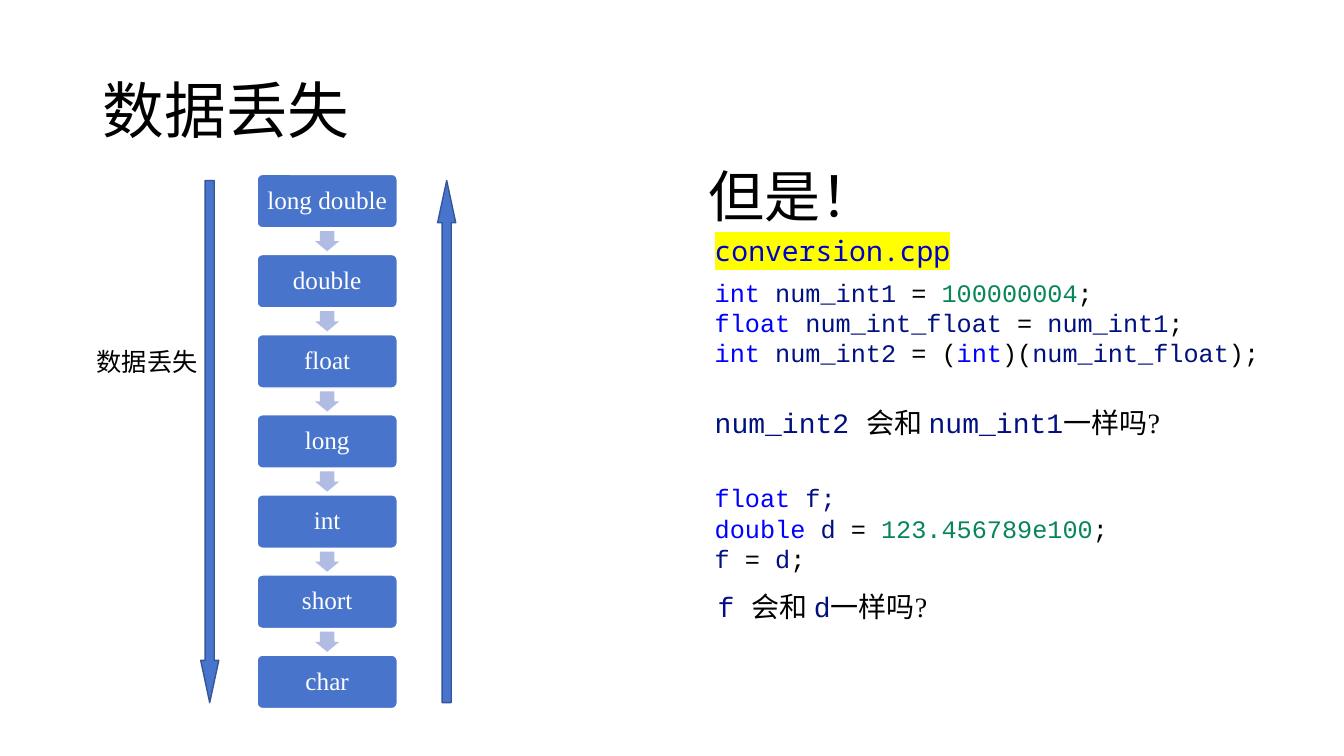
import pptx
import pptx.util
import pptx.dml.color
import pptx.enum.shapes
import pptx.enum.text
import lxml.etree

Inches, Pt = pptx.util.Inches, pptx.util.Pt
SHAPE = pptx.enum.shapes.MSO_SHAPE
ALIGN = pptx.enum.text.PP_ALIGN
ANCHOR = pptx.enum.text.MSO_ANCHOR

SERIF, CODE, MONO = "Times New Roman", "Courier New", "Noto Sans Mono"
BLACK, WHITE, YELLOW = "000000", "FFFFFF", "FFFF00"
BLUE, PALE_BLUE, DARK_BLUE = "4874CB", "B1BCE2", "355696"
KEYWORD, NAME, NUMBER, FILE_BLUE = "0000FF", "001080", "098658", "0000CC"

TITLE = "数据丢失"
TYPES = ["long double", "double", "float", "long", "int", "short", "char"]
FILE_NAME = "conversion.cpp"

INT_CODE = [
    [("int ", KEYWORD), ("num_int1", NAME), (" = ", BLACK), ("100000004", NUMBER), (";", BLACK)],
    [("float ", KEYWORD), ("num_int_float", NAME), (" = ", BLACK), ("num_int1", NAME), (";", BLACK)],
    [("int ", KEYWORD), ("num_int2", NAME), (" = (", BLACK), ("int", KEYWORD), (")(", BLACK),
     ("num_int_float", NAME), (");", BLACK)],
]
FLOAT_CODE = [
    [("float ", KEYWORD), ("f;", NAME)],
    [("double ", KEYWORD), ("d", NAME), (" = ", BLACK), ("123.456789e100", NUMBER), (";", BLACK)],
    [("f ", NAME), ("= ", BLACK), ("d", NAME), (";", BLACK)],
]


def question(first, second):
    return [[(first + " ", NAME, CODE), ("会和 ", BLACK, SERIF), (second, NAME, CODE),
             ("一样吗", BLACK, MONO), ("?", BLACK, SERIF)]]


TEXTS = [
    ((0.86, 3.39, 1.21, 0.4), 18, SERIF, False, [[(TITLE, BLACK)]]),
    ((6.99, 2.7, 5.88, 1.01), 18, CODE, True, INT_CODE),
    ((6.93, 1.55, 1.88, 0.77), 40, SERIF, False, [[("但是！", BLACK)]]),
    ((6.99, 3.97, 6.02, 0.44), 20, None, True, question("num_int2", "num_int1")),
    ((6.99, 4.74, 5.88, 1.01), 18, CODE, True, FLOAT_CODE),
    ((7.02, 5.8, 6.02, 0.44), 20, None, True, question("f", "d")),
]

BOX_LEFT, BOX_TOP, BOX_W, BOX_H, BOX_SPAN = 2.55, 1.73, 1.39, 0.53, 4.77
STEP_W, STEP_H = 0.24, 0.2
LONG_ARROWS = [(1.99, 0), (4.34, 180)]


def rgb(color):
    return pptx.dml.color.RGBColor.from_string(color)


def write(tf, size, font, lines):
    for i, line in enumerate(lines):
        p = tf.paragraphs[0] if i == 0 else tf.add_paragraph()
        p.font.size = Pt(size)
        if font:
            p.font.name = font
        for text, color, *face in line:
            r = p.add_run()
            r.text = text
            r.font.color.rgb = rgb(color)
            if face:
                r.font.name = face[0]


def add_text(box, size, font, wrap, lines):
    sp = s.shapes.add_textbox(*map(Inches, box))
    sp.text_frame.word_wrap = wrap
    write(sp.text_frame, size, font, lines)
    return sp


def add_shape(kind, box, adjustments, fill, line=None):
    sp = s.shapes.add_shape(kind, *map(Inches, box))
    sp.shadow.inherit = False
    for i, value in enumerate(adjustments):
        sp.adjustments[i] = value
    sp.fill.solid()
    sp.fill.fore_color.rgb = rgb(fill)
    if line:
        sp.line.color.rgb = rgb(line)
        sp.line.width = Pt(1)
    else:
        sp.line.fill.background()
    return sp


def highlight(r, color):
    ns = "{http://schemas.openxmlformats.org/drawingml/2006/main}"
    mark = lxml.etree.SubElement(r.font.fill._xPr, ns + "highlight")
    lxml.etree.SubElement(mark, ns + "srgbClr", val=color)


prs = pptx.Presentation()
prs.slide_width, prs.slide_height = Inches(13.33), Inches(7.5)
s = prs.slides.add_slide(prs.slide_layouts[5])

title = s.shapes.title
title.left, title.top, title.width, title.height = map(Inches, (0.92, 0.4, 11.5, 1.45))
title.text_frame.vertical_anchor = ANCHOR.MIDDLE
write(title.text_frame, 44, SERIF, [[(TITLE, BLACK)]])
title.text_frame.paragraphs[0].alignment = ALIGN.LEFT
title.text_frame.paragraphs[0].line_spacing = 0.9

pitch = BOX_SPAN / (len(TYPES) - 1)
for i, name in enumerate(TYPES):
    top = BOX_TOP + i * pitch
    sp = add_shape(SHAPE.ROUNDED_RECTANGLE, (BOX_LEFT, top, BOX_W, BOX_H), [0.1], BLUE, WHITE)
    tf = sp.text_frame
    tf.word_wrap = False
    tf.vertical_anchor = ANCHOR.MIDDLE
    tf.margin_left = tf.margin_right = tf.margin_top = tf.margin_bottom = Inches(0.07)
    write(tf, 18, SERIF, [[(name, WHITE)]])
    tf.paragraphs[0].alignment = ALIGN.CENTER
    tf.paragraphs[0].line_spacing = 0.9
    if i < len(TYPES) - 1:
        step_left = BOX_LEFT + (BOX_W - STEP_W) / 2
        step_top = top + (BOX_H + pitch - STEP_H) / 2
        add_shape(SHAPE.DOWN_ARROW, (step_left, step_top, STEP_W, STEP_H), [0.6, 0.5], PALE_BLUE)

for left, rotation in LONG_ARROWS:
    sp = add_shape(SHAPE.DOWN_ARROW, (left, 1.79, 0.18, 5.18), [0.5, 2.33], BLUE, DARK_BLUE)
    sp.rotation = rotation

for text in TEXTS:
    add_text(*text)

sp = add_text((6.99, 2.27, 2.56, 0.44), 20, MONO, False, [[(FILE_NAME, FILE_BLUE)]])
sp.fill.solid()
sp.fill.fore_color.rgb = rgb(WHITE)
highlight(sp.text_frame.paragraphs[0].runs[0], YELLOW)

prs.save("out.pptx")
